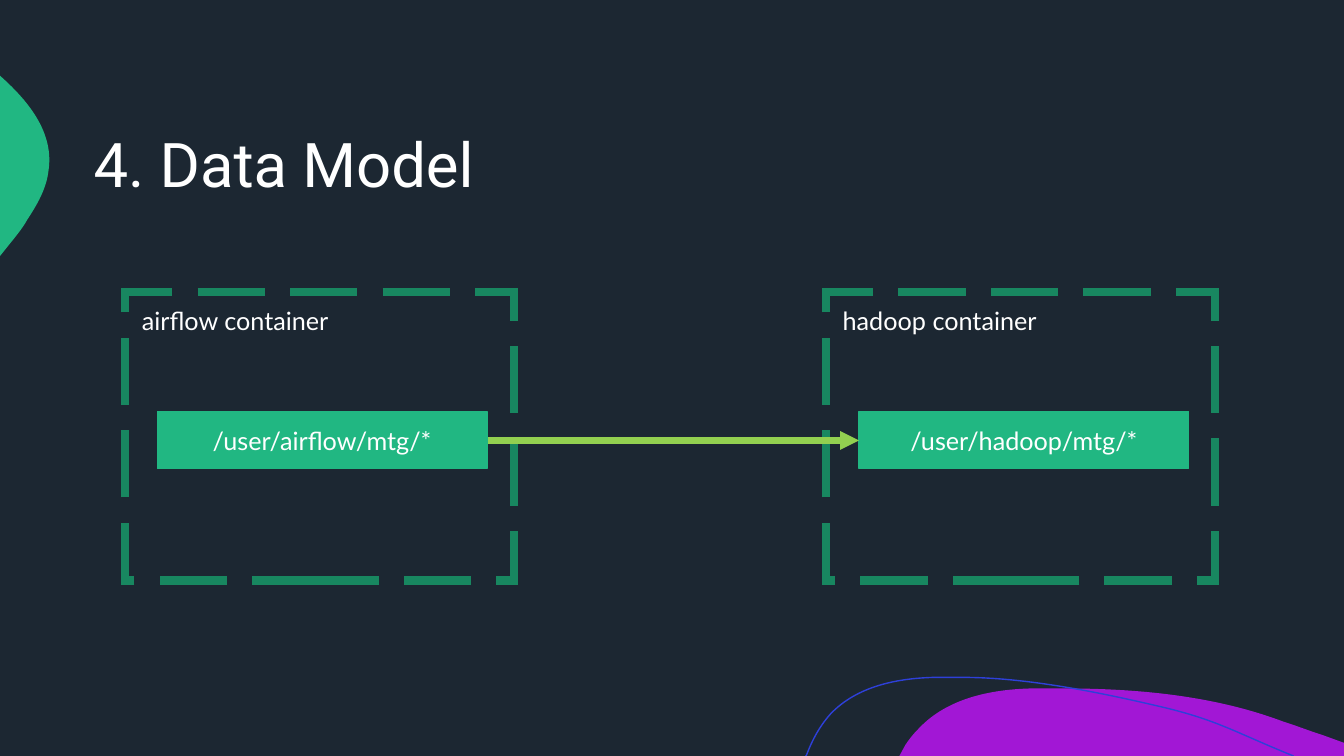
"""Build the data model slide: two containers joined by an arrow."""
from dataclasses import dataclass

from lxml import etree
from pptx import Presentation
from pptx.dml.color import RGBColor
from pptx.enum import dml, shapes, text
from pptx.oxml import ns
from pptx.util import Inches, Pt


@dataclass(frozen=True)
class Theme:
    night: RGBColor = RGBColor.from_string("1C2732")
    white: RGBColor = RGBColor.from_string("FFFFFF")
    green: RGBColor = RGBColor.from_string("21B782")
    dark_green: RGBColor = RGBColor.from_string("188760")
    lime: RGBColor = RGBColor.from_string("92D050")
    purple: RGBColor = RGBColor.from_string("A217D5")
    blue: RGBColor = RGBColor.from_string("2E40D9")
    heading_font: str = "Roboto"
    body_font: str = "Lato"
    heading_size: Pt = Pt(44)
    body_size: Pt = Pt(18)


theme = Theme()


def draw_outline(page, start, segments, closed):
    """Draw lines (x, y) and cubic curves (x1, y1, x2, y2, x, y) as one freeform."""
    builder = page.shapes.build_freeform(Inches(start[0]), Inches(start[1]))
    builder.add_line_segments([(Inches(s[-2]), Inches(s[-1])) for s in segments], close=closed)
    outline = builder.convert_to_shape()
    outline.shadow.inherit = False
    strokes = list(outline._element.iter(ns.qn("a:lnTo")))
    for stroke, segment in zip(strokes, segments):
        if len(segment) == 6:
            stroke.tag = ns.qn("a:cubicBezTo")
            for place in (0, 1):
                x, y = segment[2 * place:2 * place + 2]
                handle = etree.Element(ns.qn("a:pt"), x=str(Inches(x) - outline.left),
                                       y=str(Inches(y) - outline.top))
                stroke.insert(place, handle)
    return outline


def write(box, words, font, size, anchor, align):
    """Put one line of white text in a box."""
    frame = box.text_frame
    frame.word_wrap = True
    frame.vertical_anchor = anchor
    para = frame.paragraphs[0]
    para.text = words
    para.alignment = align
    para.font.name, para.font.size = font, size
    para.font.color.rgb = theme.white
    return para


deck = Presentation()
deck.slide_width, deck.slide_height = Inches(13.33), Inches(7.5)
page = deck.slides.add_slide(deck.slide_layouts[6])
page.background.fill.solid()
page.background.fill.fore_color.rgb = theme.night

purple_hill = [
    (11.28, 6.83, 12.04, 6.9, 12.73, 7.16), (12.86, 7.2, 12.98, 7.25, 13.11, 7.29),
    (13.33, 7.37), (13.33, 7.5), (8.92, 7.5), (8.98, 7.39),
    (9.02, 7.33, 9.06, 7.28, 9.11, 7.23), (9.39, 6.93, 9.82, 6.84, 10.23, 6.83),
    (10.33, 6.83, 10.43, 6.83, 10.54, 6.83),
]
green_drop = [
    (0.01, 0.76), (0.3, 1.02, 0.54, 1.33, 0.48, 1.7), (0.46, 1.87, 0.37, 2.03, 0.27, 2.18),
    (0.24, 2.24, 0.17, 2.33, 0.08, 2.44), (0, 2.54),
]
blue_wave = [
    (8, 7.49), (8.06, 7.33, 8.14, 7.19, 8.24, 7.08), (8.5, 6.81, 8.89, 6.73, 9.26, 6.72),
    (9.55, 6.72), (10.22, 6.72, 11, 6.89, 11.55, 7.02), (12.09, 7.15, 12.26, 7.27, 12.83, 7.5),
]
for start, segments, color in (
    ((10.54, 6.83), purple_hill, theme.purple),
    ((0, 0.75), green_drop, theme.green),
):
    blob = draw_outline(page, start, segments, closed=True)
    blob.fill.solid()
    blob.fill.fore_color.rgb = color
    blob.line.fill.background()

wave = draw_outline(page, (7.99, 7.5), blue_wave, closed=False)
wave.fill.background()
wave.line.color.rgb = theme.blue
wave.line.width = Pt(1)

title = page.shapes.add_textbox(Inches(0.83), Inches(0.83), Inches(11.67), Inches(1.67))
heading = write(title, "4. Data Model", theme.heading_font, theme.heading_size,
                text.MSO_ANCHOR.MIDDLE, text.PP_ALIGN.LEFT)
heading.line_spacing = 0.9

for name, left, folder_left in (("airflow", 1.24, 1.56), ("hadoop", 8.19, 8.52)):
    container = page.shapes.add_shape(
        shapes.MSO_SHAPE.RECTANGLE, Inches(left), Inches(2.9), Inches(3.86), Inches(2.86))
    container.shadow.inherit = False
    container.fill.background()
    container.line.color.rgb = theme.dark_green
    container.line.width = Pt(6)
    container.line.dash_style = dml.MSO_LINE.LONG_DASH
    etree.SubElement(container.line._get_or_add_ln(), ns.qn("a:miter"), lim="800000")

    label = page.shapes.add_textbox(Inches(left + 0.07), Inches(2.98), Inches(2.53), Inches(0.4))
    write(label, f"{name} container", theme.body_font, theme.body_size,
          text.MSO_ANCHOR.TOP, text.PP_ALIGN.LEFT)

    folder = page.shapes.add_shape(
        shapes.MSO_SHAPE.RECTANGLE, Inches(folder_left), Inches(4.08), Inches(3.27), Inches(0.57))
    folder.shadow.inherit = False
    folder.fill.solid()
    folder.fill.fore_color.rgb = theme.green
    folder.line.color.rgb = theme.green
    folder.line.width = Pt(1)
    write(folder, f"/user/{name}/mtg/*", theme.body_font, theme.body_size,
          text.MSO_ANCHOR.MIDDLE, text.PP_ALIGN.CENTER)

arrow = page.shapes.add_connector(
    shapes.MSO_CONNECTOR.STRAIGHT, Inches(4.84), Inches(4.37), Inches(8.52), Inches(4.37))
arrow.line.color.rgb = theme.lime
arrow.line.width = Pt(4.5)
etree.SubElement(arrow.line._get_or_add_ln(), ns.qn("a:tailEnd"), type="triangle")
etree.SubElement(arrow._element.spPr, ns.qn("a:effectLst"))

deck.save("out.pptx")
